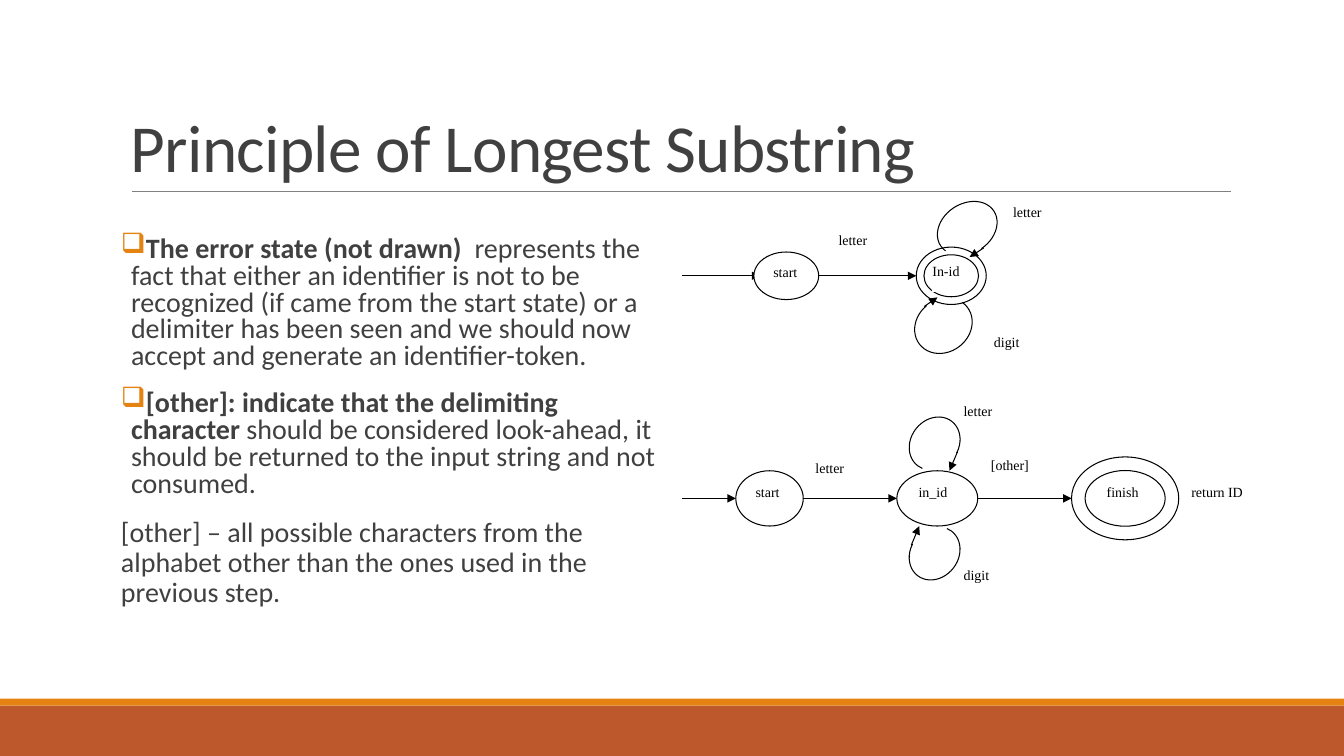
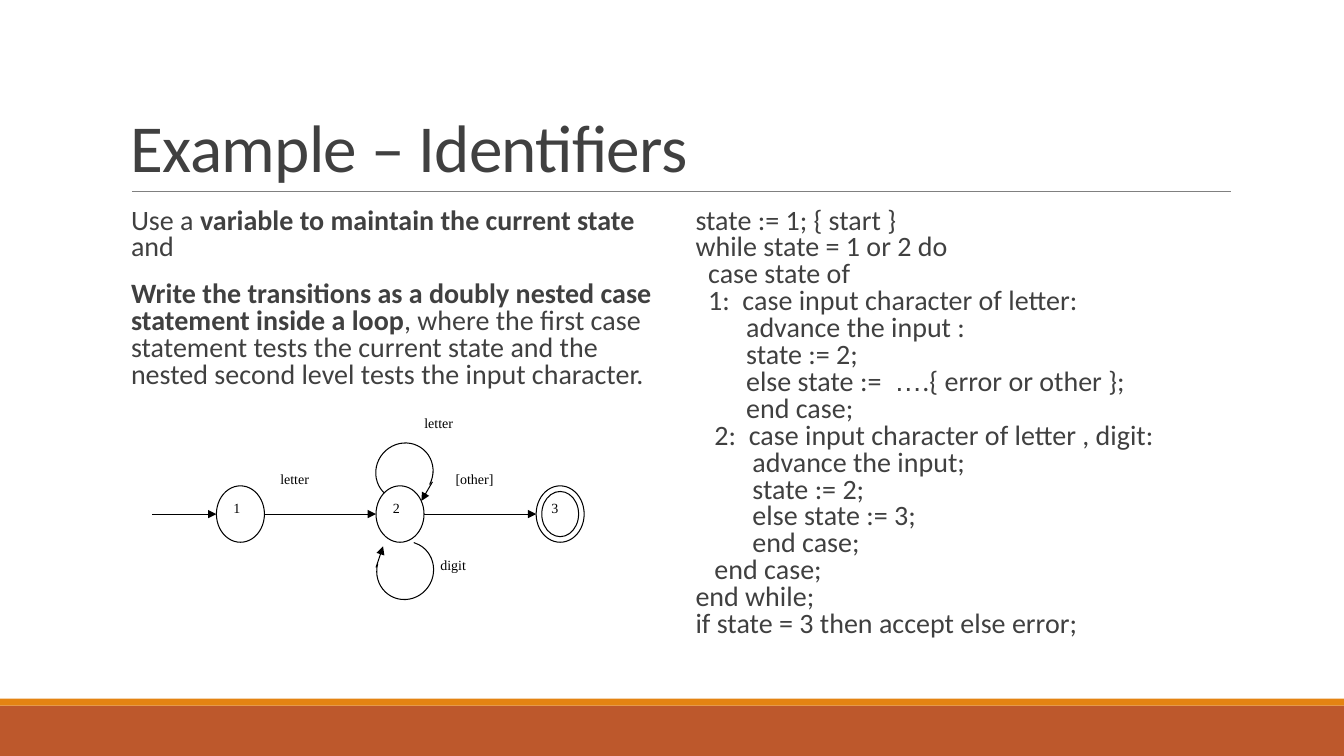
from lxml import etree
from pptx import Presentation
from pptx.dml.color import RGBColor
from pptx.enum.shapes import MSO_CONNECTOR as Connector, MSO_SHAPE as Preset
from pptx.enum.text import MSO_ANCHOR as Anchor, PP_ALIGN as Align
from pptx.oxml.ns import qn
from pptx.util import Pt

RUST = RGBColor(0xBD, 0x58, 0x2C)
ORANGE = RGBColor(0xE4, 0x83, 0x12)
CHARCOAL = RGBColor(0x40, 0x40, 0x40)
GRAY = RGBColor(0x80, 0x80, 0x80)
BLACK = RGBColor(0, 0, 0)
WHITE = RGBColor(0xFF, 0xFF, 0xFF)

SLIDE_WIDTH, SLIDE_HEIGHT = 960, 540
BANDS = [(504, 36, RUST), (499, 5, ORANGE)]  # top, height, colour
RULE_LEFT, RULE_RIGHT, RULE_TOP = 94.3, 879.1, 136.8
TITLE_BOX = (86.4, 22.3, 792, 114.5)
COLUMN_WIDTH = 389
LEFT_COLUMN, RIGHT_COLUMN = 86.4, 489.6

TITLE_FONT = {"size": Pt(48), "name": "Calibri"}
BODY_FONT = {"size": Pt(20), "name": "Calibri"}
DIAGRAM_FONT = {"size": Pt(10), "name": "Times New Roman"}
BOLD = {"bold": True}

TITLE = {"line_spacing": 0.85}
BODY = {"line_spacing": 0.8, "space_before": Pt(12), "space_after": Pt(2)}
CLOSING = BODY | {"line_spacing": 0.9}
CODE = {"line_spacing": 0.8, "space_before": Pt(0), "space_after": Pt(0)}

# Paragraphs: runs of (text, font changes), format, left margin, bullet
ERROR_STATE_TEXT = [
    ([("The error state (not drawn)", BOLD),
      ("  represents the fact that either an identifier is not to be recognized "
       "(if came from the start state) or a delimiter has been seen and we should "
       "now accept and generate an identifier-token.", {})], BODY, 7.2, "❑"),
    ([("[other]: indicate that the delimiting character", BOLD),
      (" should be considered look-ahead, it should be returned to the input "
       "string and not consumed.", {})], BODY, 7.2, "❑"),
    ([("[other] – all possible characters from the alphabet other than the ones "
       "used in the previous step.", {})], CLOSING, 0, None),
]
STATE_VARIABLE_TEXT = [
    ([("Use a ", {}), ("variable to maintain the current state", BOLD),
      (" and", {})], BODY, 7.2, None),
    ([("Write the transitions as a doubly nested case statement inside a loop", BOLD),
      (", where the first case statement tests the current state and the nested "
       "second level tests the input character.", {})], BODY, 7.2, None),
]
CODE_LINES = [
    [("state := 1; { start }", {})],
    [("while state = 1 or 2 do", {})],
    [("  case state of", {})],
    [("  1:  case input character of letter:", {})],
    [("        advance the input :", {})],
    [("        state := 2;", {})],
    [("        else state :=  ", {}), ("…", {"name": "Arial"}),
     (".{ error or other };", {})],
    [("        end case;", {})],
    [("   2:  case input character of letter , digit:", {})],
    [("         advance the input;", {})],
    [("         state := 2;", {})],
    [("         else state := 3;", {})],
    [("         end case;", {})],
    [("   end case;", {})],
    [("end while;", {})],
    [("if state = 3 then accept else error;", {})],
]
CODE_TEXT = [(runs, CODE, 7.2, None) for runs in CODE_LINES]

# states: text, left, width, height, gap to an inner ring (0 for none)
# loops: centre x, centre y, width, height, rotation, arrow from x, y to x, y
# labels: text, left, top, width, height
ERROR_DIAGRAM = {
    "middle": 197, "entry": (487.5, 543), "arc": (77, 358), "loops_in_front": True,
    "states": [("start", 538.5, 46.3, 34, 0), ("", 654.5, 50, 41, 5.5)],
    "loops": [
        (690.9, 163.2, 35.3, 45.4, 57, 702.7, 177.1, 692.6, 183.6),
        (673.9, 232.6, 37.4, 43.2, 232.3, 660.2, 218.9, 669.6, 212.4),
    ],
    "labels": [
        ("letter", 723.6, 145.4, 70, 31), ("letter", 599, 165.6, 42, 21),
        ("digit", 710, 238.3, 55, 21), ("In-id", 666, 187.2, 23, 21),
    ],
}
OTHER_DIAGRAM = {
    "middle": 356, "entry": (487.5, 525.6), "arc": (79, 346), "loops_in_front": False,
    "states": [("start", 525.6, 48.2, 39.5, 0), ("in_id", 640.6, 57.8, 39.5, 0),
               ("finish", 765.4, 76.6, 59.2, 9.7)],
    "loops": [
        (667.6, 316.8, 34, 40, 37.4, 684, 322.6, 678.2, 336.2),
        (667.6, 395.3, 34, 40, 217.3, 650.9, 389.5, 656.6, 375.8),
    ],
    "labels": [
        ("letter", 582.5, 328.3, 38, 19), ("letter", 688.3, 287.3, 29, 19),
        ("digit", 688.3, 404.6, 29, 19), ("[other]", 707.8, 326.2, 38, 19),
        ("return ID", 851, 345.6, 67, 19),
    ],
}
NUMBERED_DIAGRAM = {
    "middle": 367.2, "entry": (108.7, 154.6), "arc": (79, 346), "loops_in_front": False,
    "states": [("1", 154.6, 34.3, 40.3, 0), ("2", 268.6, 34.3, 40.3, 0),
               ("", 383, 34.3, 40.3, 4)],
    "loops": [
        (288.9, 337, 40.3, 41.8, 40.9, 308.9, 344.2, 301, 357.8),
        (289.4, 407.5, 40.3, 41.8, 208.1, 268.6, 405.4, 273.6, 390.2),
    ],
    "labels": [
        ("letter", 200.2, 336.2, 46, 20), ("letter", 303.1, 295.9, 57, 20),
        ("digit", 314.6, 397.4, 35, 20), ("[other]", 325.4, 336.2, 45, 20),
        ("3", 393.8, 357.1, 12, 20),
    ],
}

SLIDES = [
    {"title": "Principle of Longest Substring",
     "columns": [(LEFT_COLUMN, 165.6, 296, ERROR_STATE_TEXT)],
     "diagrams": [ERROR_DIAGRAM, OTHER_DIAGRAM]},
    {"title": "Example – Identifiers",
     "columns": [(LEFT_COLUMN, 145.4, 317, STATE_VARIABLE_TEXT),
                 (RIGHT_COLUMN, 145.4, 317, CODE_TEXT)],
     "diagrams": [NUMBERED_DIAGRAM]},
]


def set_attributes(target, values):
    for name, value in values.items():
        setattr(target, name, value)


def add_run(paragraph, text, font, color):
    run = paragraph.add_run()
    run.text = text
    set_attributes(run.font, font)
    run.font.color.rgb = color
    return run


def add_shape(shapes, preset, left, top, width, height, fill=None, line=None):
    shape = shapes.add_shape(preset, Pt(left), Pt(top), Pt(width), Pt(height))
    shape.shadow.inherit = False
    if fill is None:
        shape.fill.background()
    else:
        shape.fill.solid()
        shape.fill.fore_color.rgb = fill
    if line is None:
        shape.line.fill.background()
    else:
        shape.line.color.rgb = line
        shape.line.width = Pt(0.75)
    return shape


def add_line(shapes, start, end, color=BLACK, width=0.75, arrow=True):
    line = shapes.add_connector(Connector.STRAIGHT, *map(Pt, start + end))
    line.line.color.rgb = color
    line.line.width = Pt(width)
    if arrow:
        etree.SubElement(line.line._get_or_add_ln(), qn("a:tailEnd"), type="triangle")
    etree.SubElement(line._element.spPr, qn("a:effectLst"))


def add_text_box(slide, left, top, width, height):
    frame = slide.shapes.add_textbox(Pt(left), Pt(top), Pt(width), Pt(height)).text_frame
    frame.word_wrap = True
    return frame


def set_margin_and_bullet(paragraph, margin, bullet):
    properties = paragraph._p.get_or_add_pPr()
    properties.set("marL", str(Pt(margin)))
    if bullet:
        properties.set("indent", str(-Pt(margin)))
        color = etree.SubElement(properties, qn("a:buClr"))
        etree.SubElement(color, qn("a:srgbClr"), val=str(ORANGE))
        etree.SubElement(properties, qn("a:buChar"), char=bullet)


def add_column(slide, left, top, height, paragraphs):
    frame = add_text_box(slide, left, top, COLUMN_WIDTH, height)
    frame.margin_left = frame.margin_right = 0
    for index, (runs, layout, margin, bullet) in enumerate(paragraphs):
        paragraph = frame.add_paragraph() if index else frame.paragraphs[0]
        set_margin_and_bullet(paragraph, margin, bullet)
        set_attributes(paragraph, layout)
        if index == 0:
            paragraph.space_before = Pt(0)
        for text, changes in runs:
            add_run(paragraph, text, BODY_FONT | changes, CHARCOAL)


def write_diagram_text(shape, text):
    frame = shape.text_frame
    frame.vertical_anchor = Anchor.TOP
    frame.paragraphs[0].alignment = Align.JUSTIFY
    add_run(frame.paragraphs[0], text, DIAGRAM_FONT, BLACK)


def add_states(shapes, diagram):
    for text, left, width, height, ring in diagram["states"]:
        top = diagram["middle"] - height / 2
        shape = add_shape(shapes, Preset.OVAL, left, top, width, height, WHITE, BLACK)
        if ring:
            shape = add_shape(shapes, Preset.OVAL, left + ring, top + ring,
                              width - 2 * ring, height - 2 * ring, WHITE, BLACK)
        if text:
            write_diagram_text(shape, text)


def add_loops(shapes, diagram):
    for x, y, width, height, rotation, *arrow in diagram["loops"]:
        arc = add_shape(shapes, Preset.ARC, x - width / 2, y - height / 2,
                        width, height, line=BLACK)
        arc.rotation = rotation
        for index, degrees in enumerate(diagram["arc"]):
            arc.adjustments[index] = degrees * 0.6  # 60000 units a degree
        add_line(shapes, tuple(arrow[:2]), tuple(arrow[2:]))


def add_diagram(slide, diagram):
    """Draw one state machine as a group: arrows, states, loops and labels."""
    shapes = slide.shapes.add_group_shape().shapes
    states, middle = diagram["states"], diagram["middle"]
    spans = [diagram["entry"]]
    for (_, left, width, *_), (_, next_left, *_) in zip(states, states[1:]):
        spans.append((left + width, next_left))
    for start, end in spans:
        add_line(shapes, (start, middle), (end, middle))

    layers = [add_loops, add_states]
    if diagram["loops_in_front"]:
        layers.reverse()
    for add_layer in layers:
        add_layer(shapes, diagram)

    for text, *box in diagram["labels"]:
        label = add_shape(shapes, Preset.RECTANGLE, *box, WHITE, WHITE)
        set_attributes(label.text_frame, dict.fromkeys(
            ("margin_left", "margin_top", "margin_right", "margin_bottom"), 0))
        write_diagram_text(label, text)


def add_base(slide, title):
    """Draw what every slide shares: bands, rule and title."""
    for top, height, color in BANDS:
        add_shape(slide.shapes, Preset.RECTANGLE, 0, top, SLIDE_WIDTH, height, color)
    add_line(slide.shapes, (RULE_LEFT, RULE_TOP), (RULE_RIGHT, RULE_TOP),
             GRAY, 0.5, arrow=False)
    frame = add_text_box(slide, *TITLE_BOX)
    frame.vertical_anchor = Anchor.BOTTOM
    set_attributes(frame.paragraphs[0], TITLE)
    run = add_run(frame.paragraphs[0], title, TITLE_FONT, CHARCOAL)
    run.font._element.set("spc", "-50")


def main():
    presentation = Presentation()
    presentation.slide_width = Pt(SLIDE_WIDTH)
    presentation.slide_height = Pt(SLIDE_HEIGHT)
    for content in SLIDES:
        slide = presentation.slides.add_slide(presentation.slide_layouts[6])
        add_base(slide, content["title"])
        for column in content["columns"]:
            add_column(slide, *column)
        for diagram in content["diagrams"]:
            add_diagram(slide, diagram)
    presentation.save("out.pptx")


if __name__ == "__main__":
    main()
